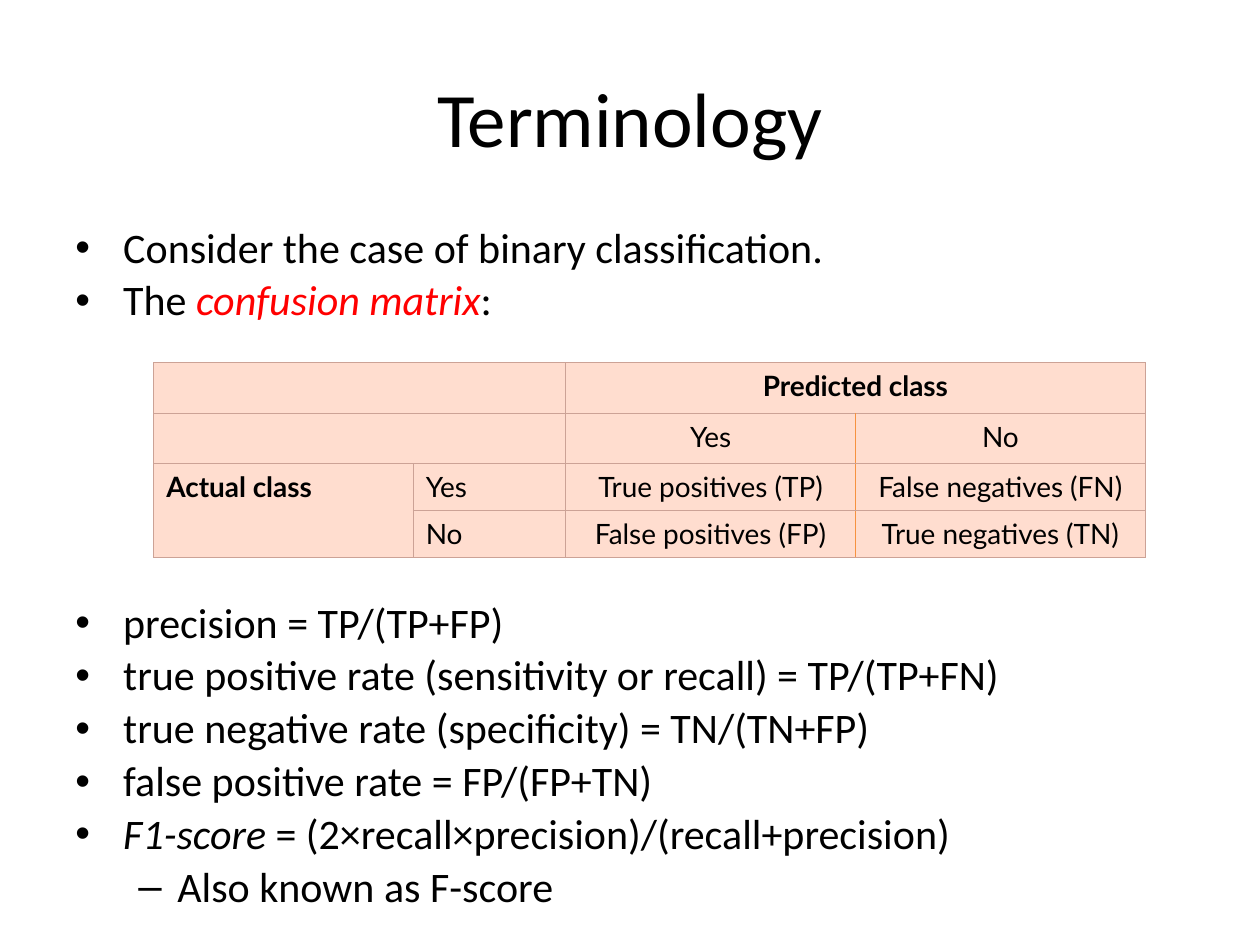
from typing import NamedTuple

from lxml import etree
from pptx import Presentation
from pptx.dml.color import RGBColor
from pptx.enum import text
from pptx.oxml import ns
from pptx.util import Inches, Pt

BLACK, RED = "000000", "FF0000"
PEACH, ROSE, ORANGE = "FFDDCF", "CCA296", "F69240"
CENTER, LEFT = text.PP_ALIGN.CENTER, text.PP_ALIGN.LEFT


class Run(NamedTuple):
    content: str
    color: str = BLACK
    italic: bool = False


class Bullet(NamedTuple):
    runs: list[Run]
    char: str = "•"
    margin: float = 0.38
    hang: float = 0.38
    before: float = 4.3


class Cell(NamedTuple):
    row: int
    col: int
    content: str = ""
    rows: int = 1
    cols: int = 1
    bold: bool = False
    align: text.PP_ALIGN = CENTER


BULLETS = [
    Bullet([Run("Consider the case of binary classification.")]),
    Bullet([Run("The "), Run("confusion matrix", RED, True), Run(":")]),
    Bullet([Run("precision = TP/(TP+FP)")], before=158.2),
    Bullet([Run("true positive rate (sensitivity or recall) = TP/(TP+FN)")]),
    Bullet([Run("true negative rate (specificity) = TN/(TN+FP)")]),
    Bullet([Run("false positive rate = FP/(FP+TN)")]),
    Bullet([Run("F1-score ", italic=True),
            Run("= (2×recall×precision)/(recall+precision)")]),
    Bullet([Run("Also known as F-score")], "–", 0.81, 0.31),
]

CELLS = [
    Cell(0, 0, cols=2),
    Cell(0, 2, "Predicted class", cols=2, bold=True),
    Cell(1, 0, cols=2),
    Cell(1, 2, "Yes"),
    Cell(1, 3, "No"),
    Cell(2, 0, "Actual class", rows=2, bold=True, align=LEFT),
    Cell(2, 1, "Yes", align=LEFT),
    Cell(2, 2, "True positives (TP)"),
    Cell(2, 3, "False negatives (FN)"),
    Cell(3, 1, "No", align=LEFT),
    Cell(3, 2, "False positives (FP)"),
    Cell(3, 3, "True negatives (TN)"),
]
COLUMNS = [2.06, 1.21, 2.3, 2.3]
ROW_COUNT, ROW_HEIGHT = 4, 0.37


def rgb(value: str) -> RGBColor:
    return RGBColor.from_string(value)


def add_text(p, content: str, *, size: float, font: str = "Calibri",
             color: str = BLACK, bold: bool = False, italic: bool = False) -> None:
    r = p.add_run()
    r.text = content
    r.font.name, r.font.size = font, Pt(size)
    r.font.bold, r.font.italic = bold, italic
    r.font.color.rgb = rgb(color)


def add_box(s, left: float, top: float, width: float, height: float, anchor):
    sp = s.shapes.add_textbox(*map(Inches, (left, top, width, height)))
    tf = sp.text_frame
    tf.word_wrap = True
    tf.vertical_anchor = anchor
    return tf


def add_bullet(p, bullet: Bullet) -> None:
    p.line_spacing = 0.9
    p.space_before = Pt(bullet.before)
    pPr = p._p.get_or_add_pPr()
    pPr.set("marL", str(Inches(bullet.margin)))
    pPr.set("indent", str(-Inches(bullet.hang)))
    etree.SubElement(pPr, ns.qn("a:buFont"), typeface="Arial")
    etree.SubElement(pPr, ns.qn("a:buChar"), char=bullet.char)
    for run in bullet.runs:
        add_text(p, run.content, size=24, color=run.color, italic=run.italic)


def set_border(cell, edge: str, color: str, width: float) -> None:
    ln = etree.SubElement(cell._tc.get_or_add_tcPr(), ns.qn(f"a:ln{edge}"),
                          w=str(Pt(width)))
    fill = etree.SubElement(ln, ns.qn("a:solidFill"))
    etree.SubElement(fill, ns.qn("a:srgbClr"), val=color)


def style_cell(cell, row: int, col: int) -> None:
    for edge in "LRTB":
        divider = row > 0 and (col, edge) in {(2, "R"), (3, "L")}
        color, width = (ORANGE, 0.75) if divider else (ROSE, 0.5)
        set_border(cell, edge, color, width)
    cell.fill.solid()
    cell.fill.fore_color.rgb = rgb(PEACH)


def add_matrix(s) -> None:
    frame = s.shapes.add_table(
        ROW_COUNT, len(COLUMNS), Inches(1.22), Inches(2.88),
        Inches(sum(COLUMNS)), Inches(ROW_COUNT * ROW_HEIGHT))
    table = frame.table
    table.first_row = table.horz_banding = False
    for column, width in zip(table.columns, COLUMNS):
        column.width = Inches(width)
    for i, row in enumerate(table.rows):
        row.height = Inches(ROW_HEIGHT)
        for j, cell in enumerate(row.cells):
            style_cell(cell, i, j)
    for item in CELLS:
        cell = table.cell(item.row, item.col)
        if item.rows * item.cols > 1:
            cell.merge(table.cell(item.row + item.rows - 1,
                                  item.col + item.cols - 1))
        if item.content:
            p = cell.text_frame.paragraphs[0]
            p.alignment = item.align
            add_text(p, item.content, size=16, font="Lato", bold=item.bold)


def main() -> None:
    prs = Presentation()
    prs.slide_width, prs.slide_height = Inches(10), Inches(7.5)
    s = prs.slides.add_slide(prs.slide_layouts[6])

    title = add_box(s, 0.5, 0.3, 9, 1.25, text.MSO_ANCHOR.MIDDLE).paragraphs[0]
    title.alignment = CENTER
    add_text(title, "Terminology", size=44)

    tf = add_box(s, 0.5, 1.75, 9, 5.31, text.MSO_ANCHOR.TOP)
    for i, bullet in enumerate(BULLETS):
        add_bullet(tf.add_paragraph() if i else tf.paragraphs[0], bullet)

    add_matrix(s)
    prs.save("out.pptx")


if __name__ == "__main__":
    main()
